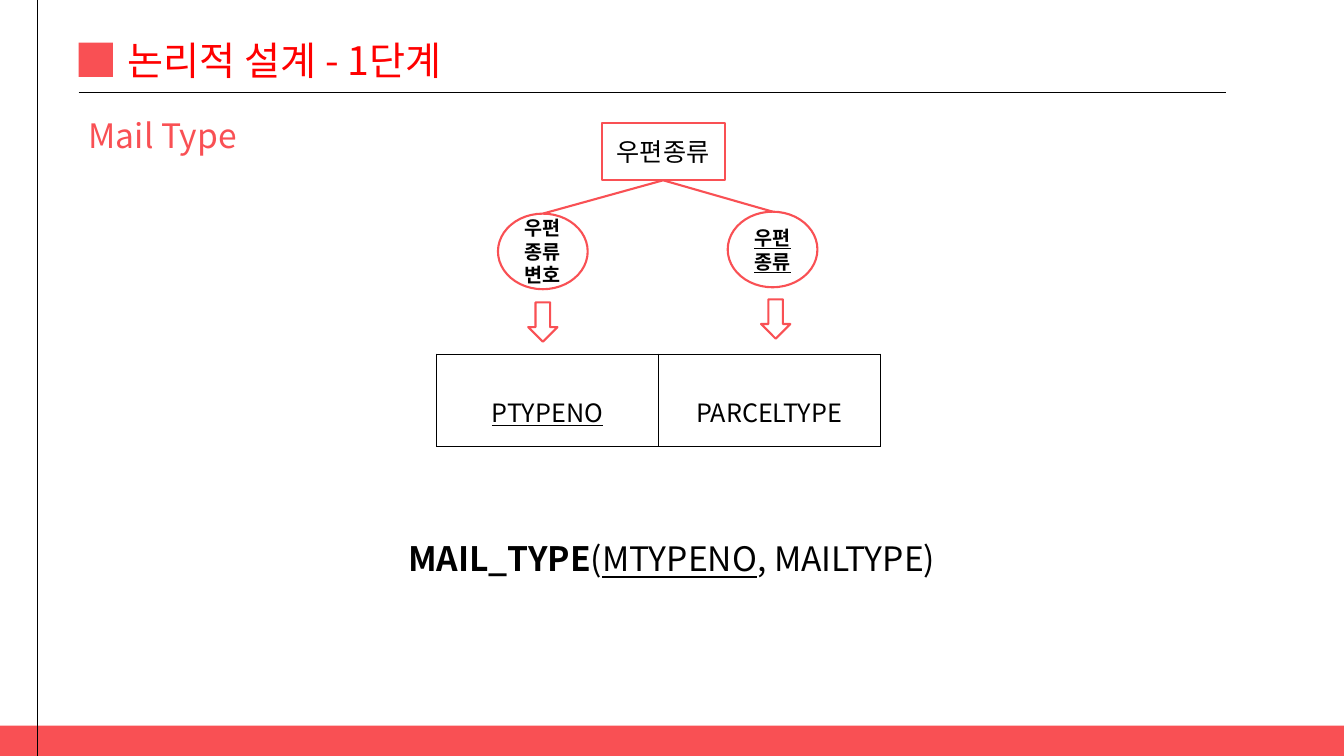
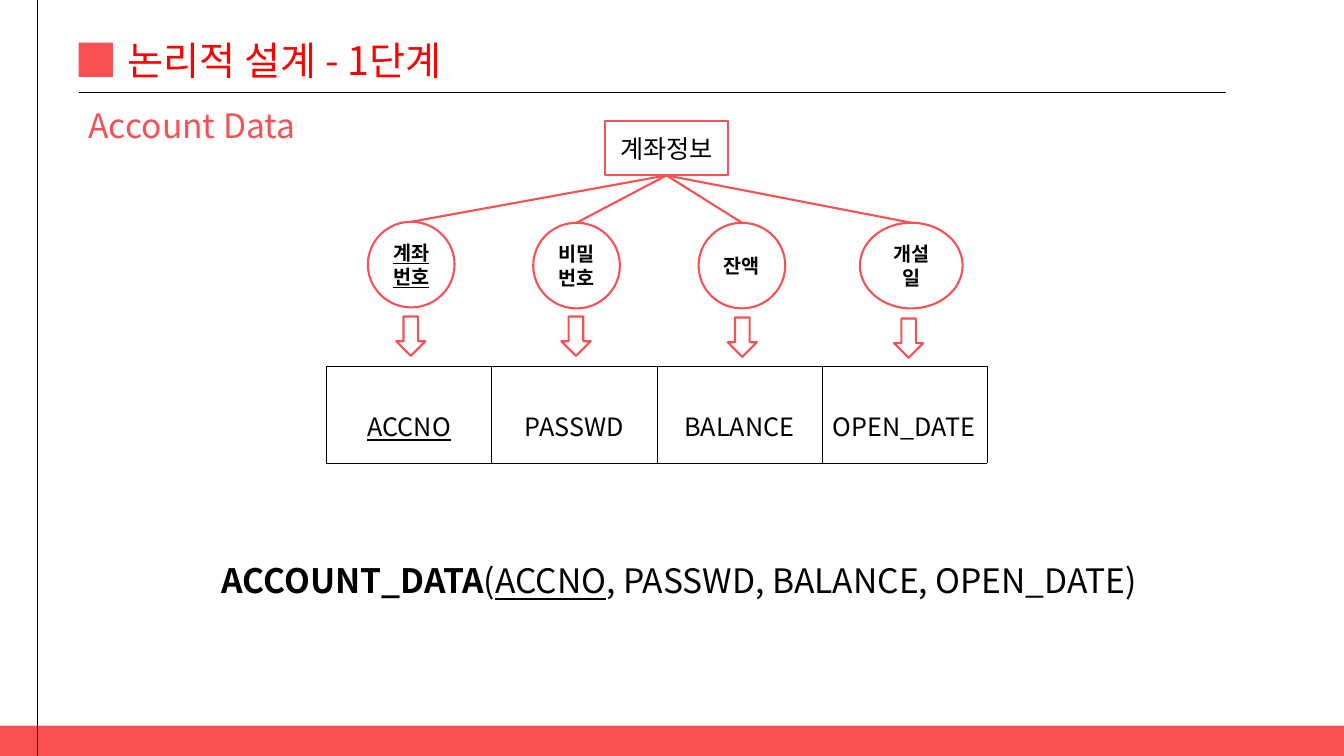
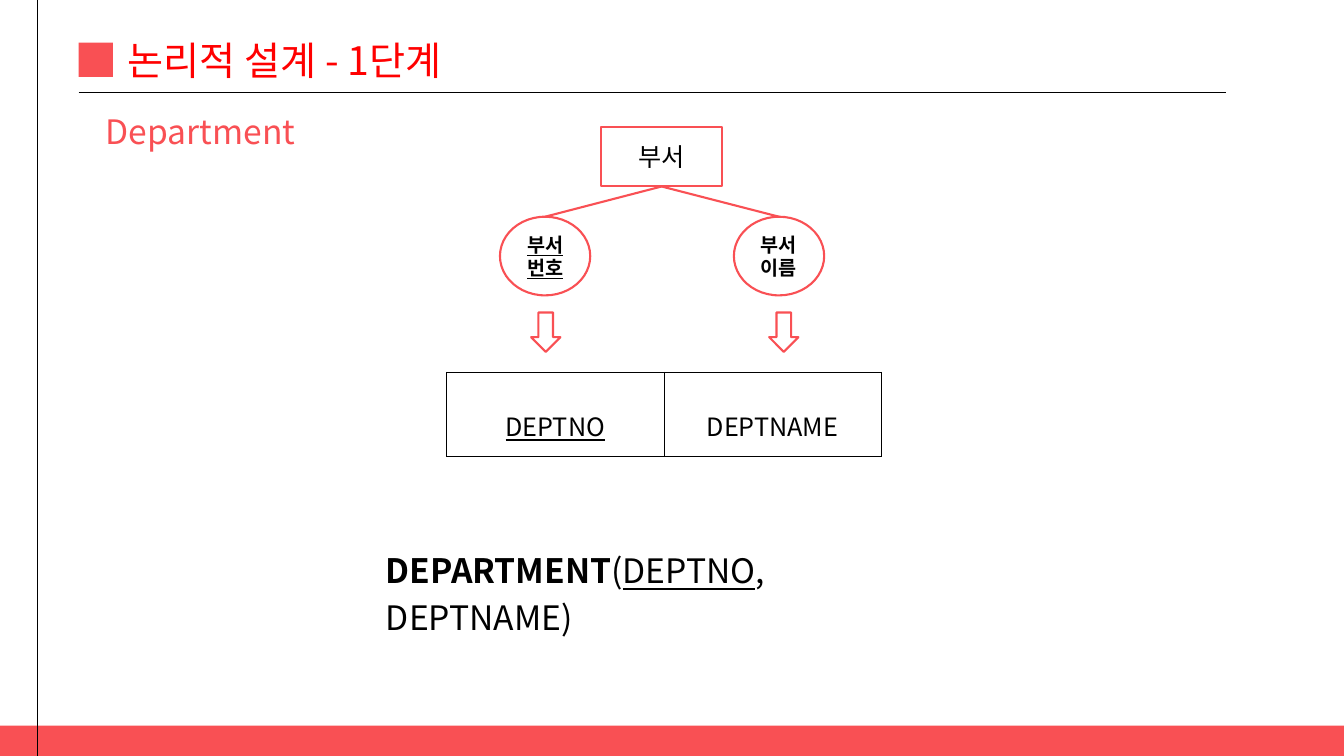
"""Build three slides that map entities of a mail database to relations."""
from lxml.etree import SubElement
from pptx import Presentation
from pptx.enum.shapes import MSO_CONNECTOR, MSO_SHAPE
from pptx.enum.text import MSO_ANCHOR, PP_ALIGN
from pptx.dml.color import RGBColor
from pptx.oxml import parse_xml
from pptx.oxml.ns import nsdecls, qn
from pptx.util import Pt

COLORS = {"coral": "F95054", "red": "FF0000", "black": "000000", "white": "FFFFFF"}
FONT = "Noto Sans CJK KR"
TITLE = "논리적 설계 - 1단계"
ARROW_WIDTH, ARROW_HEIGHT = 20.9, 28.1

DIAGRAMS = [
    {
        "heading": ("Mail Type", 56.2, 78.5),
        "entity": ("우편종류", 429.8, 87.8, 87.8, 41),
        "ovals": [("우편종류변호", 355.7, 152.6, 64.1, 54), ("우편종류", 519.8, 151.2, 64.1, 54)],
        "key_oval": 1,
        "arrows": [(377.3, 216), (543.6, 213.8)],
        "table": (311.8, 252.7, 316.8, 66.2),
        "columns": ["PTYPENO", "PARCELTYPE"],
        "relation": ("MAIL_TYPE", "MTYPENO", ", MAILTYPE)"),
        "relation_box": (284.4, 380.9, 420, 36),
        "relation_spacing": 1,
    },
    {
        "heading": ("Account Data", 56.2, 71.3),
        "entity": ("계좌정보", 432, 86.4, 88.2, 38.9),
        "ovals": [
            ("계좌번호", 262.8, 158.4, 61.9, 61.2),
            ("비밀번호", 380.9, 159.1, 61.9, 61.2),
            ("잔액", 499, 159.1, 61.9, 61.2),
            ("개설일", 614.2, 159.1, 73.4, 61.2),
        ],
        "key_oval": 0,
        "arrows": [(283, 226.1), (401, 226.1), (519.8, 226.8), (638.6, 227.5)],
        "table": (233.3, 261.4, 471.6, 69.1),
        "columns": ["ACCNO", "PASSWD", "BALANCE", "OPEN_DATE"],
        "relation": ("ACCOUNT_DATA", "ACCNO", ", PASSWD, BALANCE, OPEN_DATE)"),
        "relation_box": (151.2, 396.7, 684.7, 36),
        "relation_spacing": 1,
    },
    {
        "heading": ("Department", 68.4, 75.6),
        "entity": ("부서", 429.2, 90.7, 86.8, 42.5),
        "ovals": [("부서번호", 357.1, 154.8, 64.5, 56.2), ("부서이름", 524.2, 154.8, 64.5, 56.2)],
        "key_oval": 0,
        "arrows": [(379.4, 223.2), (549.4, 223.2)],
        "table": (319, 265.7, 310.3, 60.5),
        "columns": ["DEPTNO", "DEPTNAME"],
        "relation": ("DEPARTMENT", "DEPTNO", ", DEPTNAME)"),
        "relation_box": (268.6, 385.2, 400, 70),
        "relation_spacing": 1.15,
    },
]


def write(frame, spans, size, color="black", align=PP_ALIGN.LEFT, spacing=1):
    frame.word_wrap = True
    para = frame.paragraphs[0]
    para.alignment = align
    para.line_spacing = spacing
    para.font.size = Pt(size)
    para.font.color.rgb = RGBColor.from_string(COLORS[color])
    para.font.name = FONT
    SubElement(para._p.pPr.find(qn("a:defRPr")), qn("a:ea"), typeface=FONT)
    for text, bold, underline in spans:
        span = para.add_run()
        span.text = text
        span.font.bold = bold
        span.font.underline = underline


def draw(page, kind, bounds, fill=None, line=None, width=1.5):
    if kind is MSO_CONNECTOR.STRAIGHT:
        item = page.shapes.add_connector(kind, *map(Pt, bounds))
    else:
        item = page.shapes.add_shape(kind, *map(Pt, bounds))
        item.shadow.inherit = False
        if fill:
            item.fill.solid()
            item.fill.fore_color.rgb = RGBColor.from_string(COLORS[fill])
        else:
            item.fill.background()
    if line:
        item.line.color.rgb = RGBColor.from_string(COLORS[line])
        item.line.width = Pt(width)
    else:
        item.line.fill.background()
    if kind is MSO_CONNECTOR.STRAIGHT:
        SubElement(item._element.spPr, qn("a:effectLst"))
    return item


deck = Presentation()
deck.slide_width, deck.slide_height = Pt(960), Pt(540)

for diagram in DIAGRAMS:
    page = deck.slides.add_slide(deck.slide_layouts[6])

    draw(page, MSO_SHAPE.RECTANGLE, (0, 518.4, 960, 21.6), "coral")
    draw(page, MSO_CONNECTOR.STRAIGHT, (26.6, 0, 26.6, 540), line="black", width=1)
    draw(page, MSO_CONNECTOR.STRAIGHT, (56.2, 66.2, 875.5, 66.2), line="black", width=1)
    draw(page, MSO_SHAPE.RECTANGLE, (56.2, 30.4, 24.5, 24.5), "coral")
    box = page.shapes.add_textbox(Pt(84.2), Pt(22.3), Pt(303.8), Pt(41))
    write(box.text_frame, [(TITLE, False, False)], 28, "red")

    heading, left, top = diagram["heading"]
    box = page.shapes.add_textbox(Pt(left), Pt(top), Pt(254.9), Pt(36))
    write(box.text_frame, [(heading, False, False)], 24, "coral")

    name, *bounds = diagram["entity"]
    entity = draw(page, MSO_SHAPE.RECTANGLE, bounds, "white", "coral")
    entity.text_frame.vertical_anchor = MSO_ANCHOR.MIDDLE
    write(entity.text_frame, [(name, False, False)], 18, align=PP_ALIGN.CENTER)

    for index, (label, *bounds) in enumerate(diagram["ovals"]):
        oval = draw(page, MSO_SHAPE.OVAL, bounds, line="coral")
        oval.text_frame.vertical_anchor = MSO_ANCHOR.MIDDLE
        is_key = index == diagram["key_oval"]
        write(oval.text_frame, [(label, True, is_key)], 14, align=PP_ALIGN.CENTER)
        link = draw(page, MSO_CONNECTOR.STRAIGHT, (0, 0, 0, 0), line="coral")
        link.begin_connect(entity, 2)
        link.end_connect(oval, 0)

    for left, top in diagram["arrows"]:
        draw(page, MSO_SHAPE.DOWN_ARROW, (left, top, ARROW_WIDTH, ARROW_HEIGHT), "white", "coral")

    columns = diagram["columns"]
    left, top, width, height = diagram["table"]
    table = page.shapes.add_table(1, len(columns), Pt(left), Pt(top), Pt(width), Pt(height)).table
    table.first_row = table.horz_banding = False
    for index, column in enumerate(columns):
        table.columns[index].width = Pt(width / len(columns))
        cell = table.cell(0, index)
        cell.fill.background()
        cell.vertical_anchor = MSO_ANCHOR.MIDDLE
        cell.margin_left = cell.margin_right = Pt(5.1)
        cell.margin_top = cell.margin_bottom = Pt(1.4)
        write(cell.text_frame, [(column, False, index == 0)], 18, align=PP_ALIGN.CENTER, spacing=1.6)
        for order, side in enumerate(("lnL", "lnR", "lnT", "lnB")):
            border = parse_xml(
                f'<a:{side} {nsdecls("a")} w="{int(Pt(0.28))}"><a:solidFill>'
                f'<a:srgbClr val="{COLORS["black"]}"/></a:solidFill></a:{side}>'
            )
            cell._tc.get_or_add_tcPr().insert(order, border)

    relation, key, rest = diagram["relation"]
    box = page.shapes.add_textbox(*map(Pt, diagram["relation_box"]))
    spans = [(relation, True, False), ("(", False, False), (key, False, True), (rest, False, False)]
    write(box.text_frame, spans, 24, spacing=diagram["relation_spacing"])

deck.save("out.pptx")
